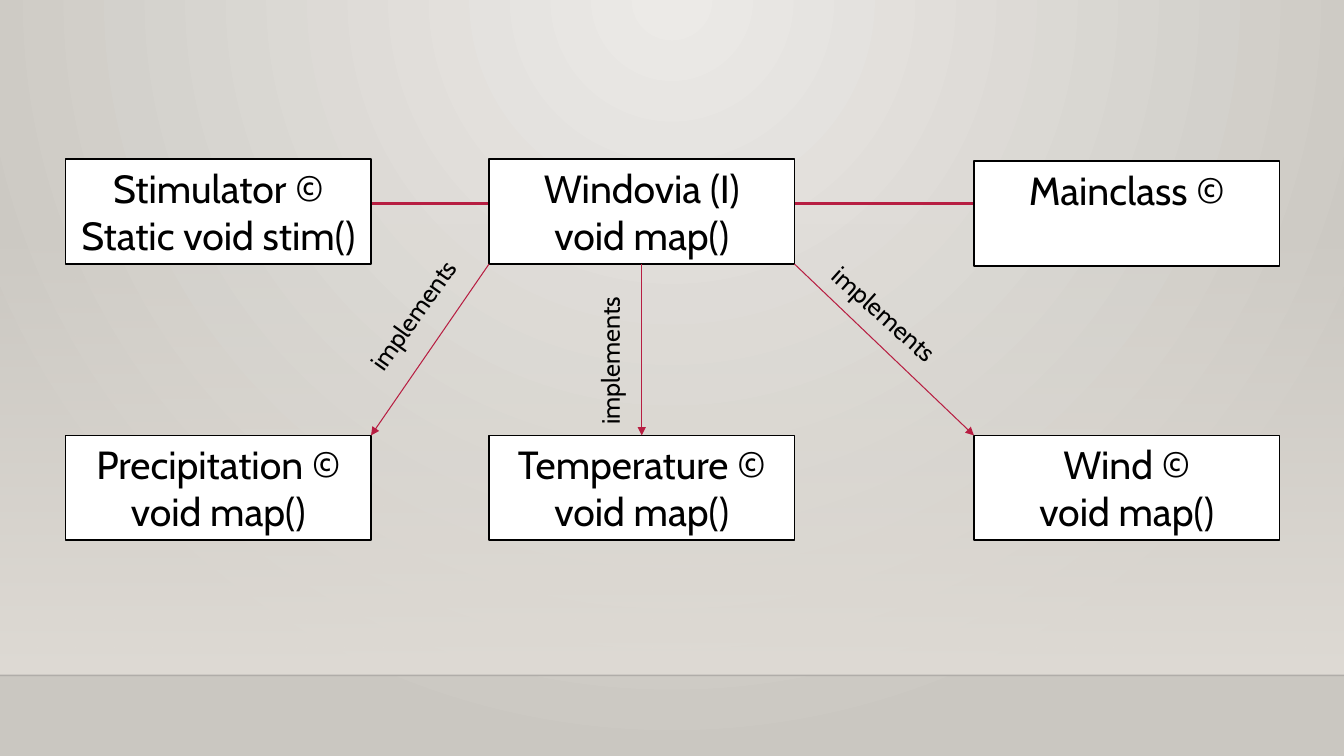
from lxml import etree
from pptx import Presentation
from pptx.dml.color import RGBColor
from pptx.enum.shapes import MSO_CONNECTOR, MSO_SHAPE
from pptx.enum.text import MSO_ANCHOR, PP_ALIGN
from pptx.oxml import parse_xml
from pptx.oxml.ns import nsdecls, qn
from pptx.util import Inches, Pt

STRAIGHT = MSO_CONNECTOR.STRAIGHT
RECTANGLE = MSO_SHAPE.RECTANGLE
TOP = MSO_ANCHOR.TOP
CENTER, LEFT = PP_ALIGN.CENTER, PP_ALIGN.LEFT

WIDTH, HEIGHT = 13.33, 7.5
FLOOR = 6.7
COLUMNS = [0.65, 4.85, 9.66]
ROWS = [1.58, 4.32]
BOX_WIDTH, BOX_HEIGHT = 3.03, 1.04
FONT, BLACK, RED = "Cabin", "000000", "B71E42"


def write(shape, lines, size, align):
    frame = shape.text_frame
    frame.word_wrap = True
    frame.vertical_anchor = TOP
    for index, line in enumerate(lines):
        para = frame.paragraphs[0] if index == 0 else frame.add_paragraph()
        para.alignment = align
        span = para.add_run()
        span.text = line
        span.font.name = FONT
        span.font.size = Pt(size)
        span.font.color.rgb = RGBColor.from_string(BLACK)


def add_line(start, end, color, width):
    line = page.shapes.add_connector(STRAIGHT, *map(Inches, start + end))
    line.line.color.rgb = RGBColor.from_string(color)
    line.line.width = Pt(width)
    etree.SubElement(line._element.spPr, qn("a:effectLst"))
    return line


deck = Presentation()
deck.slide_width, deck.slide_height = Inches(WIDTH), Inches(HEIGHT)
page = deck.slides.add_slide(deck.slide_layouts[6])

# Backdrop: a round glow, and a wall that fades in towards the floor
page.background.fill.gradient()
wall = page.shapes.add_shape(
    RECTANGLE, 0, Inches(2.21), Inches(WIDTH), Inches(FLOOR - 2.21))
wall.shadow.inherit = False
wall.line.fill.background()
wall.fill.gradient()

glow = ('<a:path path="circle"><a:fillToRect l="43000" t="0" r="43000" '
        'b="100000"/></a:path>')
fade = '<a:lin ang="5400000" scaled="0"/>'
gradients = [("ECEAE7", 100, "CAC7C1", glow), ("DFDBD5", 0, "DFDBD5", fade)]
fills = list(page._element.iter(qn("a:gradFill")))
for fill, (first, opacity, last, direction) in zip(fills, gradients):
    fill.getparent().replace(fill, parse_xml(
        f'<a:gradFill {nsdecls("a")} rotWithShape="1"><a:gsLst>'
        f'<a:gs pos="0"><a:srgbClr val="{first}">'
        f'<a:alpha val="{opacity * 1000}"/></a:srgbClr></a:gs>'
        f'<a:gs pos="100000"><a:srgbClr val="{last}"/></a:gs>'
        f'</a:gsLst>{direction}</a:gradFill>'))

floor_line = add_line((0, FLOOR), (WIDTH, FLOOR), "000001", 1)
floor_color = next(floor_line._element.spPr.iter(qn("a:srgbClr")))
etree.SubElement(floor_color, qn("a:alpha")).set("val", "20000")

# Line that runs behind the upper row of classes
add_line((1.59, 2.02), (12.1, 2.02), RED, 2.5)

# Class boxes
classes = [
    (0, 0, ["Stimulator ©", "Static void stim()"]),
    (0, 1, ["Precipitation ©", "void map()"]),
    (1, 1, ["Temperature ©", "void map()"]),
    (1, 0, ["Windovia (I)", "void map()"]),
    (2, 0, ["Mainclass ©"]),
    (2, 1, ["Wind ©", "void map()"]),
]
boxes = {}
for column, row, lines in classes:
    box = page.shapes.add_shape(
        RECTANGLE, Inches(COLUMNS[column]), Inches(ROWS[row]),
        Inches(BOX_WIDTH), Inches(BOX_HEIGHT))
    box.shadow.inherit = False
    box.fill.solid()
    box.fill.fore_color.rgb = RGBColor.from_string("FFFFFF")
    box.line.color.rgb = RGBColor.from_string(BLACK)
    box.line.width = Pt(1.25)
    write(box, lines, 28, CENTER)
    boxes[column, row] = box
boxes[2, 0].top = Inches(1.6)

# Labels along the arrows
for left, top, width, angle in [
        (8.03, 2.93, 1.52, 41.8), (3.32, 2.85, 1.65, 305.3),
        (5.3, 3.36, 1.5, 270)]:
    label = page.shapes.add_textbox(
        Inches(left), Inches(top), Inches(width), Inches(0.4))
    label.rotation = angle
    write(label, ["implements"], 18, LEFT)

# Arrows from the interface to the classes that implement it
bottom = ROWS[0] + BOX_HEIGHT
middle = COLUMNS[1] + BOX_WIDTH / 2
right = COLUMNS[1] + BOX_WIDTH
arrows = [
    add_line((start, bottom), (end, ROWS[1]), RED, 0.75)
    for start, end in [(middle, middle), (right, COLUMNS[2]),
                       (COLUMNS[1], COLUMNS[0] + BOX_WIDTH)]]
for arrow in arrows:
    outline = arrow.line._get_or_add_ln()
    etree.SubElement(outline, qn("a:tailEnd")).set("type", "triangle")
arrows[0].begin_connect(boxes[1, 0], 2)
arrows[0].end_connect(boxes[1, 1], 0)

deck.save("out.pptx")
